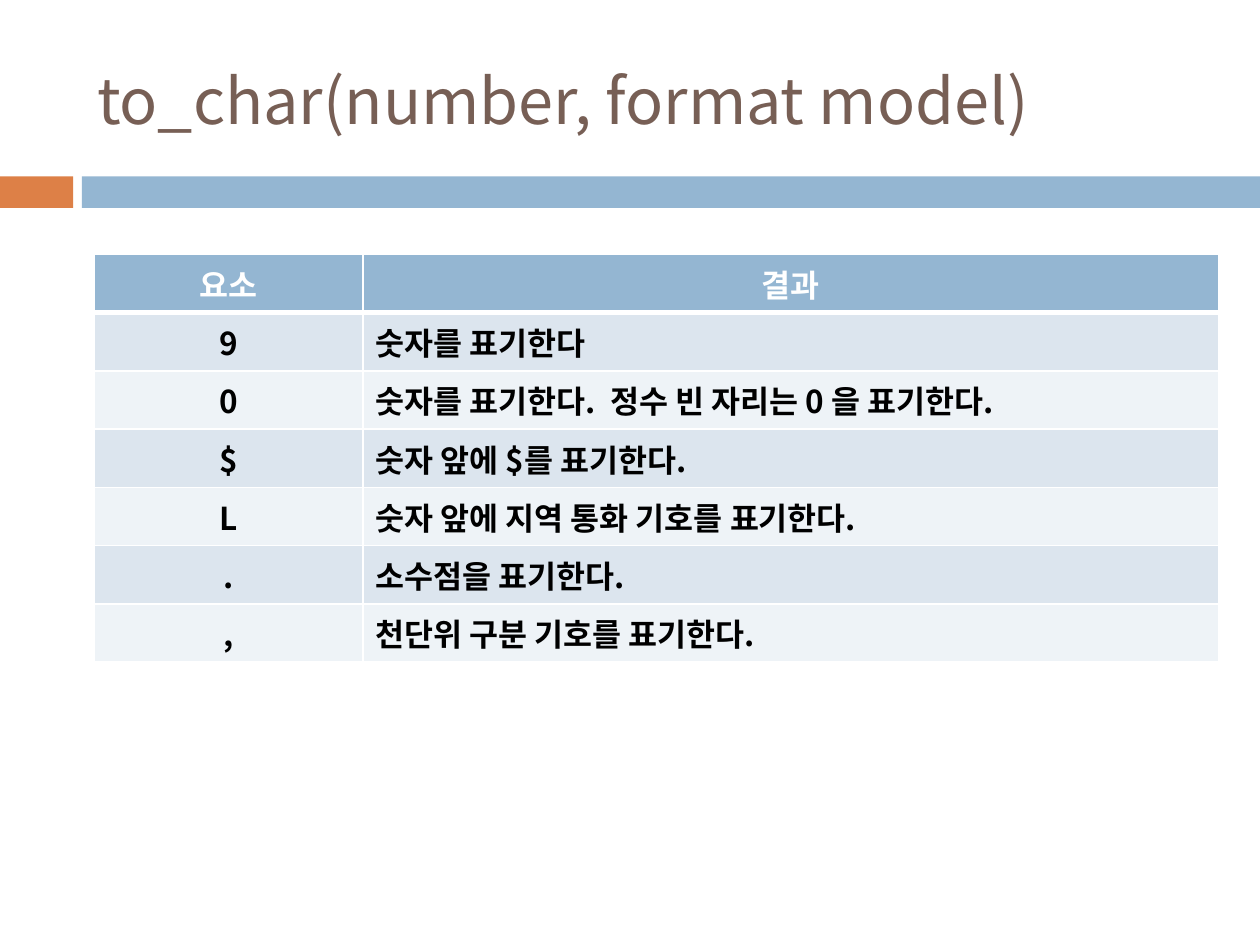
from lxml import etree
from pptx import Presentation
from pptx.dml.color import RGBColor
from pptx.enum.shapes import MSO_SHAPE
from pptx.enum.text import MSO_ANCHOR, PP_ALIGN
from pptx.oxml.ns import qn
from pptx.util import Inches, Pt

RECTANGLE = MSO_SHAPE.RECTANGLE
MIDDLE = MSO_ANCHOR.MIDDLE
LEFT, CENTER = PP_ALIGN.LEFT, PP_ALIGN.CENTER

FONT = "Noto Sans CJK KR"
WHITE = RGBColor(0xFF, 0xFF, 0xFF)
BLACK = RGBColor(0x00, 0x00, 0x00)
BROWN = RGBColor(0x77, 0x5F, 0x55)
ORANGE = RGBColor(0xDD, 0x80, 0x47)
BLUE = RGBColor(0x94, 0xB6, 0xD2)
BANDS = (RGBColor(0xEE, 0xF3, 0xF7), RGBColor(0xDC, 0xE5, 0xEE))

TITLE = "to_char(number, format model)"
FORMAT_ELEMENTS = (
    ("요소", "결과"),
    ("9", "숫자를 표기한다"),
    ("0", "숫자를 표기한다.  정수 빈 자리는 0 을 표기한다."),
    ("$", "숫자 앞에 $를 표기한다."),
    ("L", "숫자 앞에 지역 통화 기호를 표기한다."),
    (".", "소수점을 표기한다."),
    (",", "천단위 구분 기호를 표기한다."),
)
COLUMN_WIDTHS = (2.13, 6.79)


def write_text(frame, text, size, color, align, bold=False):
    """Fill a text frame with one formatted paragraph."""
    frame.text = text
    para = frame.paragraphs[0]
    para.alignment = align
    font = para.font
    font.name, font.size, font.bold = FONT, Pt(size), bold
    font.color.rgb = color
    defaults = para._p.pPr.find(qn("a:defRPr"))
    etree.SubElement(defaults, qn("a:ea"), typeface=FONT)


def add_title(page, left, top, width, height):
    """Move and format the title placeholder."""
    title = page.shapes.title
    title.left, title.top = Inches(left), Inches(top)
    title.width, title.height = Inches(width), Inches(height)
    write_text(title.text_frame, TITLE, 36, BROWN, LEFT)
    title.text_frame.vertical_anchor = MIDDLE


def add_band(page, left, top, width, height):
    """Draw the two-colour band, split by a narrow gap."""
    accent, gap = 0.58, 0.07
    start = accent + gap
    for offset, length, color in ((0, accent, ORANGE), (start, width - start, BLUE)):
        bar = page.shapes.add_shape(
            RECTANGLE, Inches(left + offset), Inches(top), Inches(length), Inches(height)
        )
        bar.shadow.inherit = False
        bar.fill.solid()
        bar.fill.fore_color.rgb = color
        bar.line.fill.background()


def add_borders(cell, widths):
    """Give a cell white borders, with widths in points by side."""
    properties = cell._tc.get_or_add_tcPr()
    for index, (side, width) in enumerate(widths.items()):
        line = etree.Element(qn(f"a:ln{side}"), w=str(Pt(width)))
        fill = etree.SubElement(line, qn("a:solidFill"))
        etree.SubElement(fill, qn("a:srgbClr"), val=str(WHITE))
        properties.insert(index, line)


def add_format_table(page, left, top, width, height):
    """Build the table of format elements and their results."""
    table = page.shapes.add_table(
        len(FORMAT_ELEMENTS), len(COLUMN_WIDTHS),
        Inches(left), Inches(top), Inches(width), Inches(height),
    ).table
    for column, column_width in zip(table.columns, COLUMN_WIDTHS):
        column.width = Inches(column_width)
    for row, texts in enumerate(FORMAT_ELEMENTS):
        header = row == 0
        for column, text in enumerate(texts):
            cell = table.cell(row, column)
            cell.fill.solid()
            cell.fill.fore_color.rgb = BLUE if header else BANDS[row % 2]
            align = CENTER if header or column == 0 else LEFT
            write_text(cell.text_frame, text, 18, WHITE if header else BLACK, align, True)
            top_width, bottom_width = 3 if row == 1 else 1, 3 if header else 1
            add_borders(cell, {"L": 1, "R": 1, "T": top_width, "B": bottom_width})


def build_slide(deck):
    """Lay out the title, the band and the table."""
    page = deck.slides.add_slide(deck.slide_layouts[5])
    add_band(page, 0, 1.4, 10, 0.25)
    add_title(page, 0.67, 0.25, 8.92, 1.08)
    add_format_table(page, 0.75, 2.02, 8.92, 2.84)


deck = Presentation()
deck.slide_width, deck.slide_height = Inches(10), Inches(7.5)
build_slide(deck)
deck.save("out.pptx")
